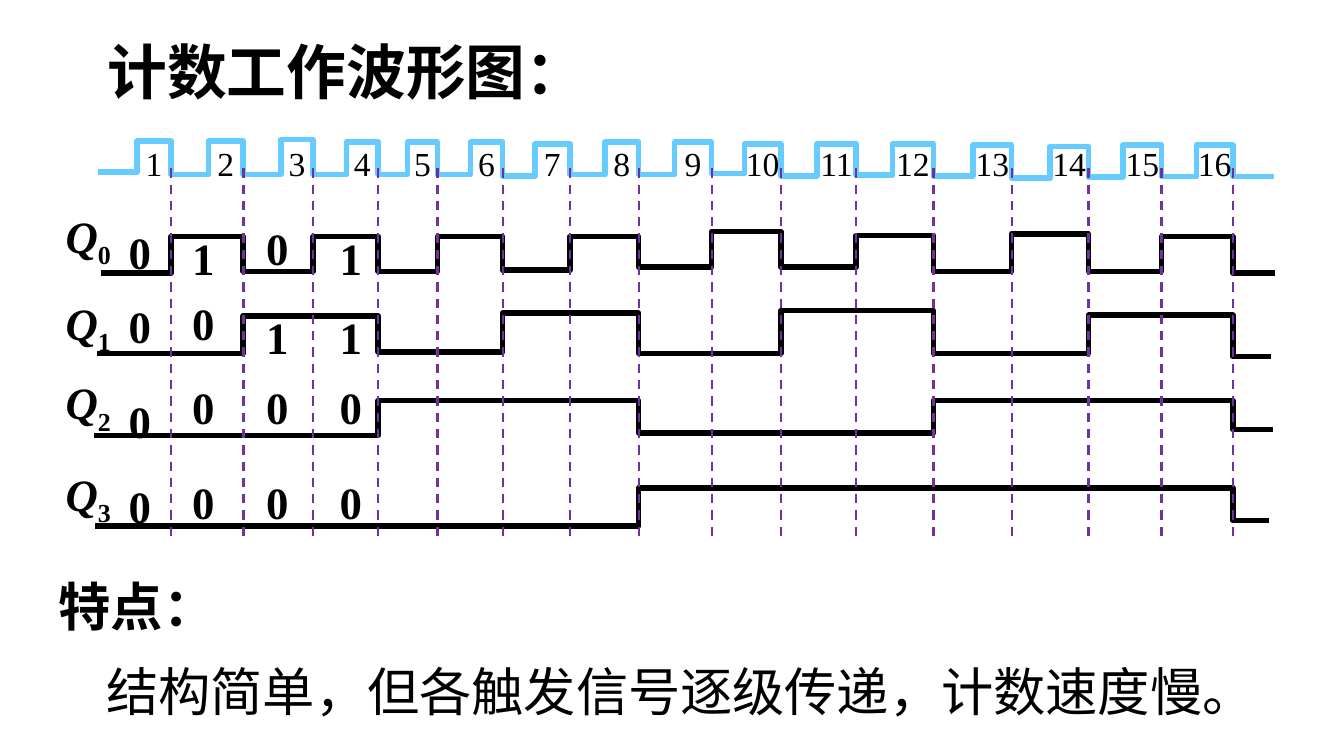
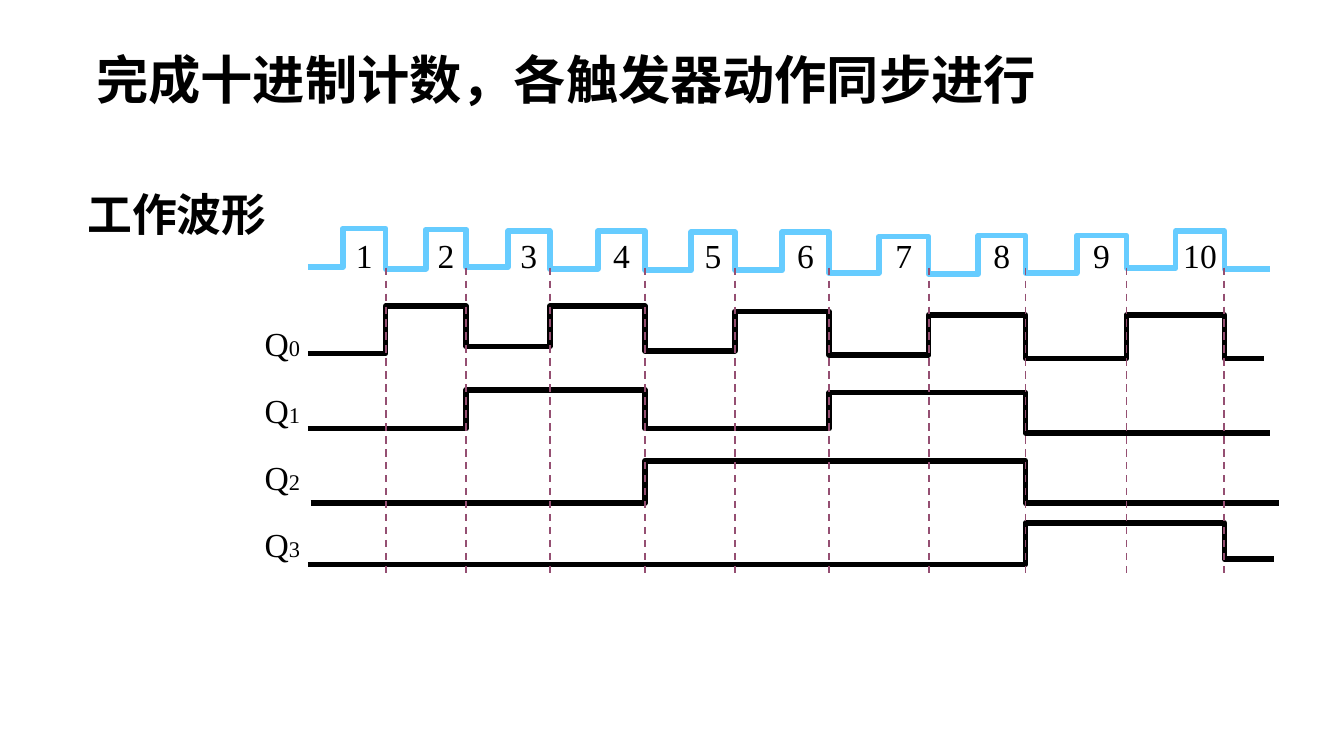
"""Build two slides of counter timing diagrams."""
import dataclasses

import pptx
import pptx.dml.color
import pptx.enum.dml
import pptx.enum.shapes
import pptx.enum.text
import pptx.oxml.ns
import pptx.util
from lxml import etree

Cm = pptx.util.Cm
Pt = pptx.util.Pt


@dataclasses.dataclass(frozen=True)
class Theme:
    """Colours, font and text formats shared by the slides."""
    font: str = "Times New Roman"
    ink: str = "000000"
    clock: str = "66CCFF"
    wave_width: float = 3
    formats: dict = dataclasses.field(default_factory=lambda: {
        "title": {"size": Pt(32), "bold": True},
        "heading": {"size": Pt(28), "bold": True},
        "body": {"size": Pt(28), "bold": False},
        "caption": {"size": Pt(24), "bold": True},
        "signal": {"size": Pt(24), "bold": True, "italic": True},
        "subscript": {"size": Pt(24), "bold": True},
        "plain": {"size": Pt(18)},
        "small": {"size": Pt(12)},
    })


THEME = Theme()
SLIDE_SIZE = (25.4, 14.29)
FRAME = {"margin_left": Cm(0.25), "margin_right": Cm(0.25),
         "margin_top": Cm(0.13), "margin_bottom": Cm(0.13),
         "vertical_anchor": pptx.enum.text.MSO_ANCHOR.TOP,
         "auto_size": pptx.enum.text.MSO_AUTO_SIZE.NONE}

RIPPLE = {
    "title": ("计数工作波形图：", "title", (1.78, 0.53, 9.63, 1.63)),
    "numbers": (2.49, 2.57, 22.02, 1.02),
    "rises": [2.59, 3.94, 5.31, 6.55, 7.7, 8.89, 10.11, 11.43,
              12.75, 14.07, 15.44, 16.87, 18.39, 19.84, 21.23, 22.61],
    "ticks": [3.23, 4.6, 5.92, 7.15, 8.27, 9.5, 10.77, 12.07,
              13.45, 14.76, 16.18, 17.64, 19.12, 20.57, 21.95, 23.3],
    "clock": {
        "span": (1.85, 24.08),
        "lows": [3.25, 3.3, 3.3, 3.3, 3.3, 3.3, 3.33, 3.3, 3.3,
                 3.28, 3.33, 3.31, 3.33, 3.37, 3.35, 3.34, 3.34],
        "highs": [2.67, 2.67, 2.64, 2.68, 2.69, 2.69, 2.72, 2.69,
                  2.69, 2.72, 2.72, 2.72, 2.74, 2.77, 2.74, 2.74]},
    "signals": [
        {"toggles": range(1, 17), "span": (1.91, 24.1),
         "lows": [5.16, 5.13, 5.13, 5.11, 5.05, 5.05, 5.13, 5.13, 5.16],
         "highs": [4.47, 4.47, 4.47, 4.47, 4.38, 4.45, 4.42, 4.47]},
        {"toggles": range(2, 17, 2), "span": (1.83, 24.03),
         "lows": [6.68, 6.65, 6.68, 6.68, 6.74],
         "highs": [5.97, 5.92, 5.87, 5.96]},
        {"toggles": range(4, 17, 4), "span": (1.78, 24.05),
         "lows": [8.23, 8.18, 8.12], "highs": [7.57, 7.57]},
        {"toggles": range(8, 17, 8), "span": (1.8, 23.98),
         "lows": [9.94, 9.84], "highs": [9.22]},
    ],
    "label_left": 0.99,
    "label_tops": [3.81, 5.46, 6.96, 8.69],
    "label_size": (1.7, 1.27),
    "label_formats": ("signal", "subscript"),
    "guides": {"top": 3.18, "bottom": 10.13, "color": "7030A0", "width": 1.25},
}

DECADE = {
    "title": ("完成十进制计数，各触发器动作同步进行", "heading", (1.57, 0.76, 20.42, 1.45)),
    "numbers": (6.43, 4.32, 17.4, 1.02),
    "rises": [6.48, 8.05, 9.6, 11.3, 13.06, 14.78, 16.61, 18.49, 20.35, 22.22],
    "ticks": [7.29, 8.81, 10.39, 12.19, 13.89, 15.67, 17.55, 19.38, 21.29, 23.14],
    "clock": {
        "span": (5.82, 24),
        "lows": [5.05, 5.08, 5.05, 5.08, 5.11, 5.11, 5.16, 5.18, 5.16, 5.07, 5.08],
        "highs": [4.32, 4.34, 4.37, 4.37, 4.39, 4.39, 4.47, 4.45, 4.45, 4.37]},
    "signals": [
        {"toggles": range(1, 11), "span": (5.82, 23.88),
         "lows": [6.68, 6.55, 6.63, 6.71, 6.78, 6.78],
         "highs": [5.79, 5.79, 5.89, 5.96, 5.96]},
        {"toggles": (2, 4, 6, 8), "span": (5.82, 24),
         "lows": [8.1, 8.1, 8.18], "highs": [7.37, 7.42]},
        {"toggles": (4, 8), "span": (5.87, 24.18),
         "lows": [9.51, 9.51], "highs": [8.71]},
        {"toggles": (8, 10), "span": (5.82, 24.08),
         "lows": [10.67, 10.57], "highs": [9.89]},
    ],
    "label_left": 4.75,
    "label_tops": [5.97, 7.24, 8.51, 9.78],
    "label_size": (1.7, 1.02),
    "label_formats": ("plain", "small"),
    "guides": {"top": 5.06, "bottom": 10.86, "color": "954F72", "width": 1},
}

FEATURE_BOX = (0.86, 10.72, 23.32, 3.07)
FEATURES = [[("特点：", "heading")],
            [("结构简单，但各触发信号逐级传递，计数速度慢。", "body")]]
WAVE_CAPTION = ("工作波形", (1.4, 3.4, 3.94, 1.27))

BIT_LEFTS = [2.18, 3.38, 4.78, 6.17]
BIT_SIZE = (0.94, 1.3)
BIT_ROWS = [("0101", [4.11, 4.24, 4.04, 4.24]),
            ("0011", [5.51, 5.46, 5.72, 5.72]),
            ("0000", [7.32, 7.04, 7.04, 7.04]),
            ("0000", [8.92, 8.84, 8.84, 8.84])]


def apply_format(target, values):
    """Set each named attribute of the target."""
    for name, value in values.items():
        setattr(target, name, value)


def color(value):
    """Return a colour object for a hex value."""
    return pptx.dml.color.RGBColor.from_string(value)


def write(shape, paragraphs, wrap=True):
    """Fill a shape with paragraphs, each a list of (text, format name)."""
    frame = shape.text_frame
    apply_format(frame, {**FRAME, "word_wrap": wrap})
    for index, runs in enumerate(paragraphs):
        paragraph = frame.add_paragraph() if index else frame.paragraphs[0]
        paragraph.alignment = pptx.enum.text.PP_ALIGN.LEFT
        for text, format_name in runs:
            run = paragraph.add_run()
            run.text = text
            apply_format(run.font, {"name": THEME.font, **THEME.formats[format_name]})
            run.font.color.rgb = color(THEME.ink)
            if format_name == "subscript":
                run.font._element.set("baseline", "-25000")
    return frame


def add_text(slide, box, paragraphs, wrap=True):
    """Add a text box at (left, top, width, height)."""
    return write(slide.shapes.add_textbox(*map(Cm, box)), paragraphs, wrap)


def add_title(slide, text, format_name, box):
    """Place and fill the title placeholder."""
    title = slide.shapes.title
    apply_format(title, dict(zip(("left", "top", "width", "height"), map(Cm, box))))
    write(title, [[(text, format_name)]])


def add_wave(slide, edges, wave, line_color):
    """Draw a square wave that changes level at each edge."""
    start, end = wave["span"]
    stops = [start, *edges, end]
    points = []
    for index, (left, right) in enumerate(zip(stops, stops[1:])):
        level = wave["highs" if index % 2 else "lows"][index // 2]
        points += [(Cm(left), Cm(level)), (Cm(right), Cm(level))]
    builder = slide.shapes.build_freeform(*points[0], scale=1.0)
    builder.add_line_segments(points[1:], close=False)
    shape = builder.convert_to_shape()
    shape.shadow.inherit = False
    shape.fill.background()
    shape.line.color.rgb = color(line_color)
    shape.line.width = Pt(THEME.wave_width)


def add_numbers(slide, box, centers):
    """Number the clock pulses in one line, centred on tab stops."""
    text = "".join(f"\t{number}" for number in range(1, len(centers) + 1))
    frame = add_text(slide, box, [[(text, "plain")]])
    frame.margin_left = 0
    properties = frame.paragraphs[0]._p.get_or_add_pPr()
    tabs = etree.SubElement(properties, pptx.oxml.ns.qn("a:tabLst"))
    for center in centers:
        etree.SubElement(tabs, pptx.oxml.ns.qn("a:tab"),
                         pos=str(Cm(center - box[0])), algn="ctr")


def add_guide(slide, x, guides):
    """Draw one dashed vertical guide."""
    connector = slide.shapes.add_connector(
        pptx.enum.shapes.MSO_CONNECTOR.STRAIGHT,
        Cm(x), Cm(guides["top"]), Cm(x), Cm(guides["bottom"]))
    etree.SubElement(connector._element.spPr, pptx.oxml.ns.qn("a:effectLst"))
    connector.line.color.rgb = color(guides["color"])
    apply_format(connector.line, {"width": Pt(guides["width"]),
                                  "dash_style": pptx.enum.dml.MSO_LINE.DASH})
    line = connector.line._ln
    effects = connector._element.spPr.find(pptx.oxml.ns.qn("a:effectLst"))
    line.addnext(effects)


def add_diagram(presentation, diagram):
    """Add a titled slide with clock, signals, labels and guides."""
    slide = presentation.slides.add_slide(presentation.slide_layouts[5])
    add_title(slide, *diagram["title"])
    pulses = list(zip(diagram["rises"], diagram["ticks"]))
    add_wave(slide, [x for pulse in pulses for x in pulse], diagram["clock"], THEME.clock)
    add_numbers(slide, diagram["numbers"], [sum(pulse) / 2 for pulse in pulses])
    letter, digit = diagram["label_formats"]
    for index, signal in enumerate(diagram["signals"]):
        edges = [diagram["ticks"][toggle - 1] for toggle in signal["toggles"]]
        add_wave(slide, edges, signal, THEME.ink)
        box = (diagram["label_left"], diagram["label_tops"][index], *diagram["label_size"])
        add_text(slide, box, [[("Q", letter), (str(index), digit)]])
    for tick in diagram["ticks"]:
        add_guide(slide, tick, diagram["guides"])
    return slide


def main():
    """Build and save the presentation."""
    presentation = pptx.Presentation()
    apply_format(presentation, dict(zip(("slide_width", "slide_height"),
                                        map(Cm, SLIDE_SIZE))))
    ripple = add_diagram(presentation, RIPPLE)
    feature = add_text(ripple, FEATURE_BOX, FEATURES).paragraphs[1]
    feature.space_before = Pt(12)
    feature._p.get_or_add_pPr().set("indent", str(Cm(0.9)))
    for bits, tops in BIT_ROWS:
        for bit, left, top in zip(bits, BIT_LEFTS, tops):
            add_text(ripple, (left, top, *BIT_SIZE), [[(bit, "caption")]], wrap=False)
    decade = add_diagram(presentation, DECADE)
    caption, box = WAVE_CAPTION
    add_text(decade, box, [[(caption, "caption")]], wrap=False)
    presentation.save("out.pptx")


if __name__ == "__main__":
    main()
